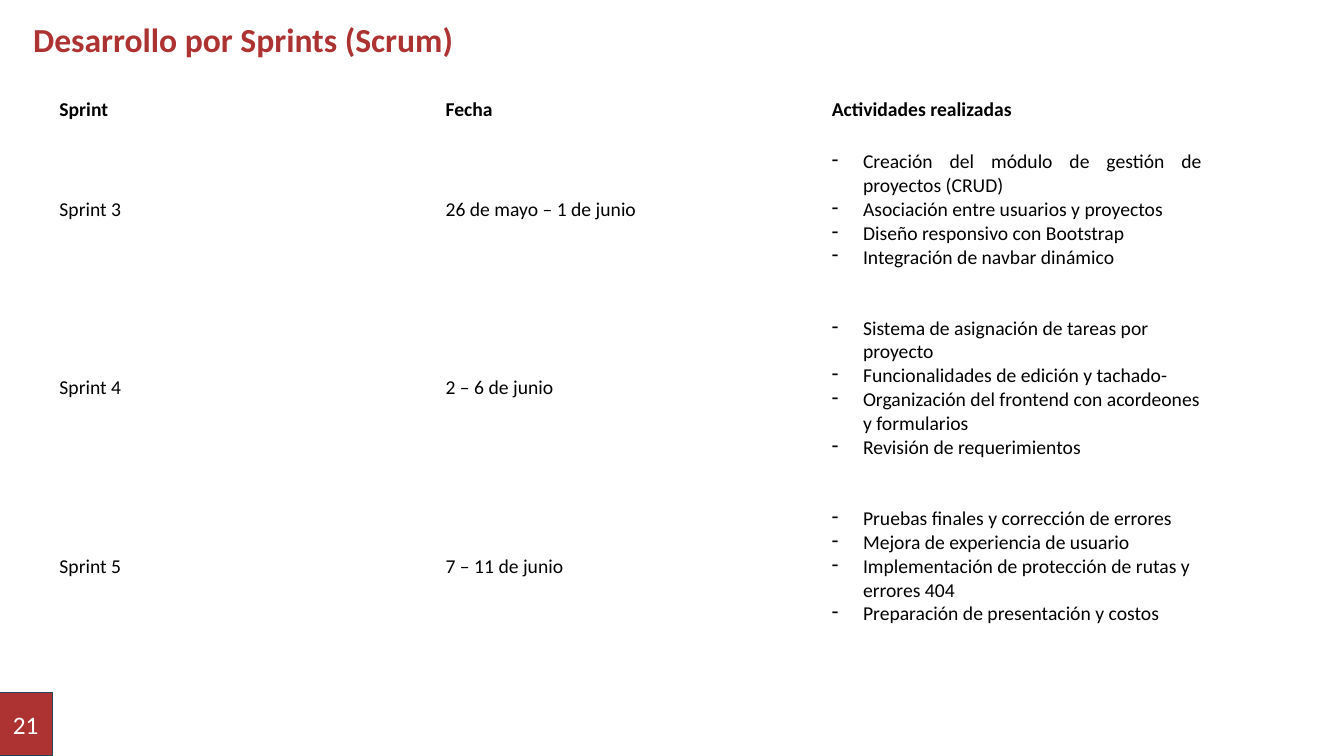
from pptx import Presentation
from pptx.dml.color import RGBColor
from pptx.enum.shapes import MSO_SHAPE as Shape
from pptx.enum.text import MSO_ANCHOR as Anchor, PP_ALIGN as Align
from pptx.oxml.ns import qn
from pptx.util import Inches, Pt
from lxml.etree import SubElement

# Content
TITLE = "Desarrollo por Sprints (Scrum)"
PAGE_NUMBER = "21"
HEADERS = ("Sprint", "Fecha", "Actividades realizadas")
# Sprint, dates, activities, alignment of the activities
SPRINTS = [
    ("Sprint 3", "26 de mayo – 1 de junio", [
        "Creación del módulo de gestión de proyectos (CRUD)",
        "Asociación entre usuarios y proyectos",
        "Diseño responsivo con Bootstrap",
        "Integración de navbar dinámico",
    ], Align.JUSTIFY),
    ("Sprint 4", "2 – 6 de junio", [
        "Sistema de asignación de tareas por proyecto",
        "Funcionalidades de edición y tachado-",
        "Organización del frontend con acordeones y formularios",
        "Revisión de requerimientos",
    ], Align.LEFT),
    ("Sprint 5", "7 – 11 de junio", [
        "Pruebas finales y corrección de errores",
        "Mejora de experiencia de usuario",
        "Implementación de protección de rutas y errores 404",
        "Preparación de presentación y costos",
    ], Align.LEFT),
]

# Theme and measures
THEME = {
    "font": "Calibri",
    "red": RGBColor(0xAD, 0x33, 0x33),
    "edge": RGBColor(0x28, 0x44, 0x5D),
    "white": RGBColor(0xFF, 0xFF, 0xFF),
    "black": RGBColor(0x00, 0x00, 0x00),
    "title": Pt(24),
    "number": Pt(18),
    "body": Pt(14),
}
COLUMN_WIDTH = Inches(3.83)
ROW_HEIGHTS = [Inches(h) for h in (0.34, 1.64, 1.9, 1.64)]
BULLET_INDENT = Inches(0.31)


def style(paragraph, size, color, bold=False):
    for run in paragraph.runs:
        font = run.font
        font.name, font.size, font.bold = THEME["font"], THEME[size], bold
        font.color.rgb = THEME[color]


def add_dash(paragraph):
    properties = paragraph._p.get_or_add_pPr()
    properties.set("marL", str(BULLET_INDENT))
    properties.set("indent", str(-BULLET_INDENT))
    SubElement(properties, qn("a:buChar")).set("char", "-")


def fill_cell(cell, lines, bold=False, dashes=False, align=Align.LEFT):
    cell.fill.background()
    cell.vertical_anchor = Anchor.MIDDLE
    cell.margin_left = cell.margin_right = Inches(0.08)
    cell.margin_top = cell.margin_bottom = Inches(0.04)
    cell.text_frame.text = "\n".join(lines)
    for paragraph in cell.text_frame.paragraphs:
        paragraph.alignment = align
        if dashes:
            add_dash(paragraph)
        style(paragraph, "body", "black", bold)


def build():
    deck = Presentation()
    deck.slide_width, deck.slide_height = Inches(13.33), Inches(7.5)
    slide = deck.slides.add_slide(deck.slide_layouts[6])

    # Title
    title = slide.shapes.add_textbox(
        Inches(0.23), Inches(0.18), Inches(4.58), Inches(0.51)).text_frame
    title.word_wrap = True
    title.text = TITLE
    title.paragraphs[0].line_spacing = 0.9
    style(title.paragraphs[0], "title", "red", bold=True)

    # Page number
    badge = slide.shapes.add_shape(
        Shape.RECTANGLE, Inches(-0.01), Inches(6.87), Inches(0.53), Inches(0.63))
    badge.shadow.inherit = False
    badge.fill.solid()
    badge.fill.fore_color.rgb = THEME["red"]
    badge.line.color.rgb = THEME["edge"]
    badge.line.width = Pt(1)
    number = badge.text_frame
    number.vertical_anchor = Anchor.MIDDLE
    number.text = PAGE_NUMBER
    number.paragraphs[0].alignment = Align.CENTER
    style(number.paragraphs[0], "number", "white")

    # Sprint table
    table = slide.shapes.add_table(
        len(ROW_HEIGHTS), len(HEADERS), Inches(0.51), Inches(0.92),
        COLUMN_WIDTH * len(HEADERS), sum(ROW_HEIGHTS)).table
    table.first_row = table.horz_banding = False
    for column in table.columns:
        column.width = COLUMN_WIDTH
    for row, height in zip(table.rows, ROW_HEIGHTS):
        row.height = height
    for column, header in enumerate(HEADERS):
        fill_cell(table.cell(0, column), [header], bold=True)
    for row, (sprint, dates, activities, align) in enumerate(SPRINTS, start=1):
        fill_cell(table.cell(row, 0), [sprint])
        fill_cell(table.cell(row, 1), [dates])
        fill_cell(table.cell(row, 2), activities, dashes=True, align=align)

    deck.save("out.pptx")


if __name__ == "__main__":
    build()
